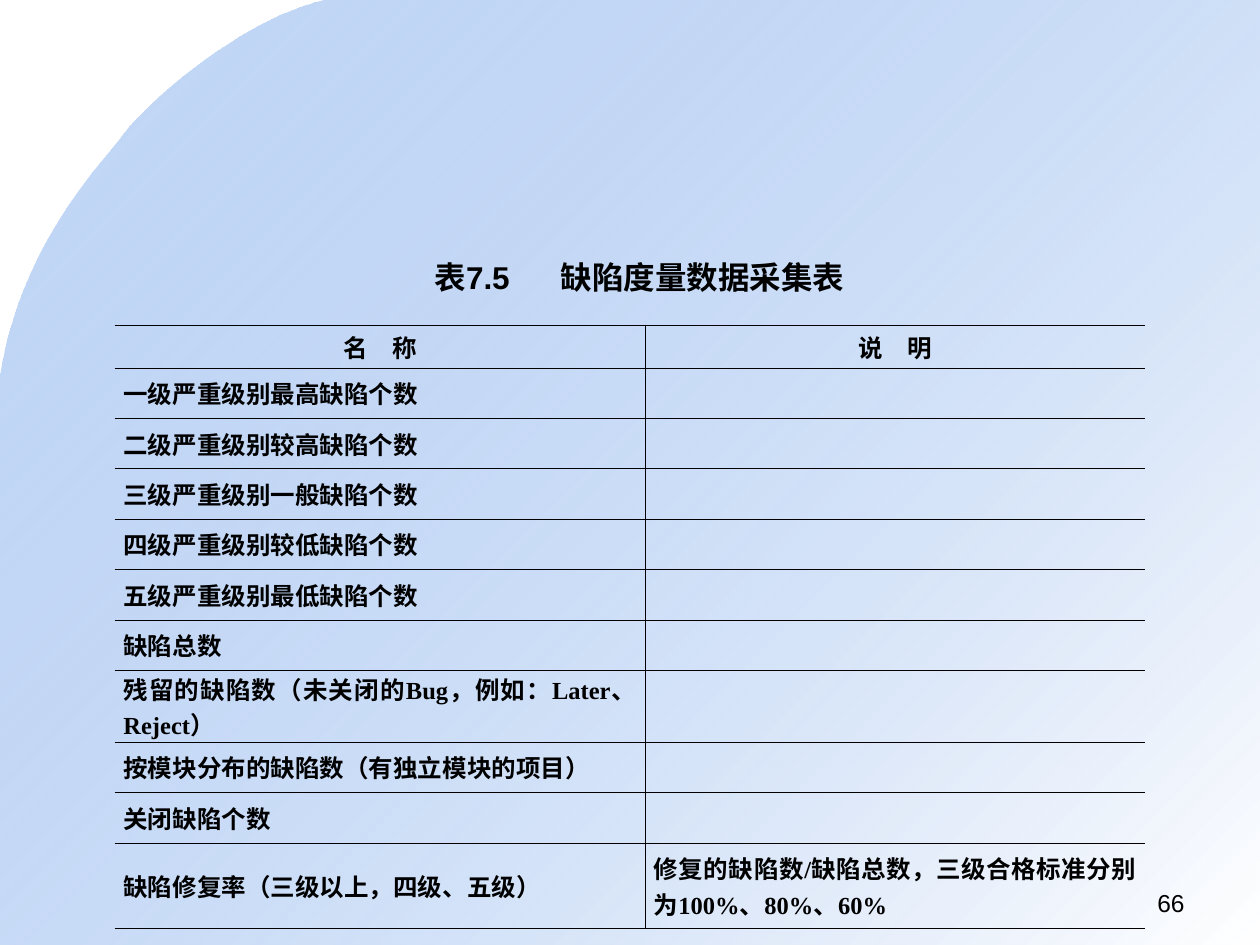
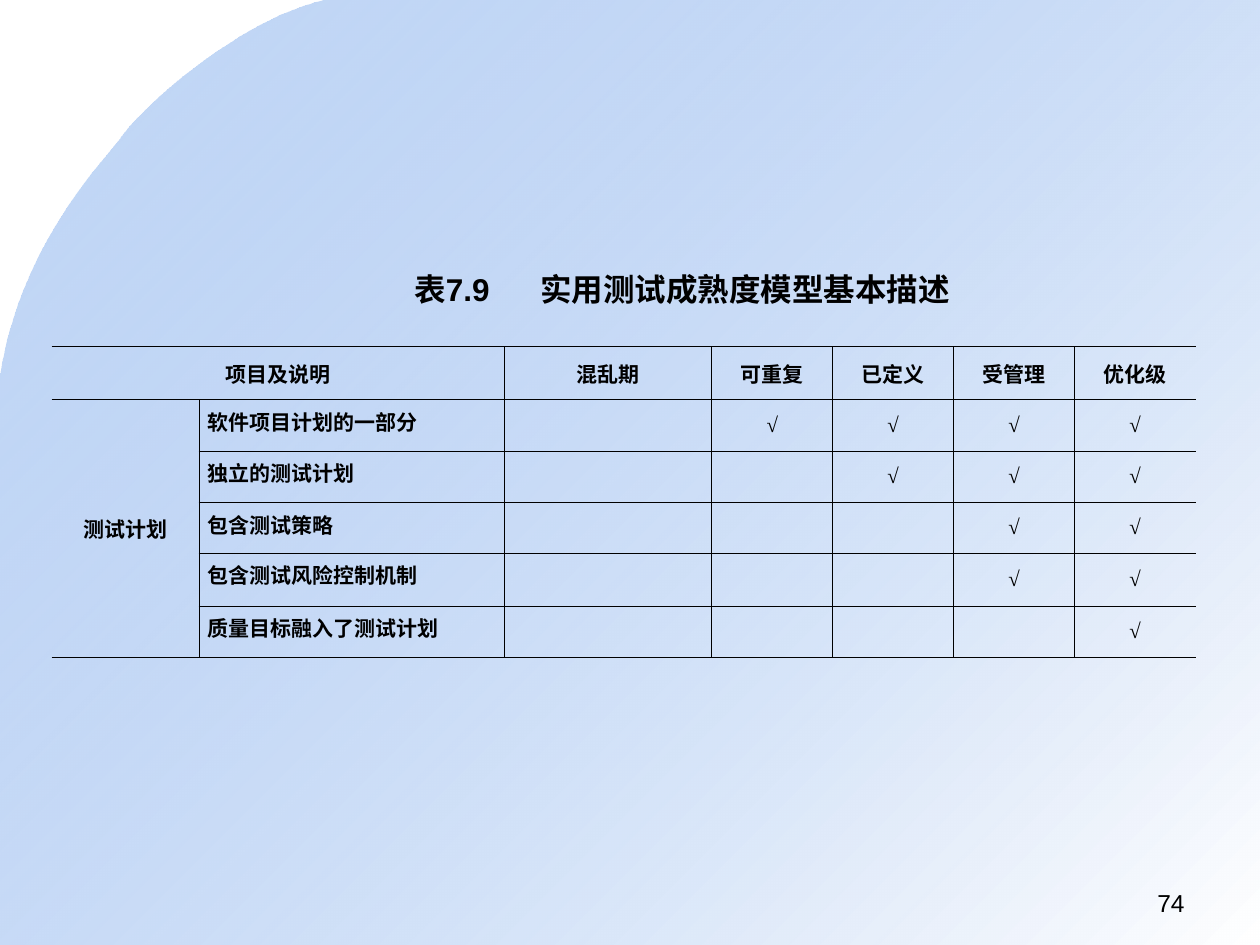
from dataclasses import dataclass

from lxml.etree import SubElement
from pptx import Presentation
from pptx.dml.color import RGBColor
from pptx.enum.text import MSO_ANCHOR, MSO_AUTO_SIZE, PP_ALIGN
from pptx.oxml import parse_xml
from pptx.oxml.ns import nsdecls, qn
from pptx.util import Inches, Pt


@dataclass(frozen=True)
class Theme:
    ink: str = "000000"
    blue: str = "699DE9"
    white: str = "FFFFFF"
    sans: str = "Arial"
    serif: str = "Times New Roman"
    title: float = 18
    body: float = 14
    small: float = 12
    rule: float = 0.45


@dataclass(frozen=True)
class Grid:
    """A ruled table: place, track sizes, cell texts and merged blocks."""
    left: float
    top: float
    cols: list[float]
    rows: list[float]
    cells: list[list[str]]
    size: float
    after: float
    pad: float                    # inset above and below the text
    mid: tuple[int, ...]          # centred columns
    high: tuple[int, ...] = ()    # top-anchored columns
    spans: tuple[tuple[int, int, int, int], ...] = ()


@dataclass(frozen=True)
class Page:
    title: str
    left: float
    top: float
    width: float
    number: str
    grid: Grid


THEME = Theme()
WIDE, TALL = 10, 7.5


def put(frame, text: str, *, size: float, font: str = THEME.sans,
        bold: bool = False, align=PP_ALIGN.LEFT, after: float = 0,
        tab: float = 0) -> None:
    """Write one formatted paragraph into a text frame."""
    para = frame.paragraphs[0]
    para.alignment = align
    para.space_after = Pt(after)
    if tab:
        tabs = SubElement(para._p.get_or_add_pPr(), qn("a:tabLst"))
        SubElement(tabs, qn("a:tab"), pos=str(Inches(tab)), algn="l")
    run = para.add_run()
    run.text = text
    run.font.name = font
    run.font.size = Pt(size)
    run.font.bold = bold
    run.font.color.rgb = RGBColor.from_string(THEME.ink)


def add_box(slide, left: float, top: float, width: float, height: float):
    box = slide.shapes.add_textbox(
        Inches(left), Inches(top), Inches(width), Inches(height))
    box.text_frame.word_wrap = True
    return box.text_frame


def curve(ends: list[tuple[float, float]], steps: int = 24):
    """Points along a cubic curve, after its start."""
    for step in range(1, steps + 1):
        t = step / steps
        parts = ((1 - t) ** 3, 3 * t * (1 - t) ** 2, 3 * t * t * (1 - t), t ** 3)
        yield tuple(sum(k * p[axis] for k, p in zip(parts, ends))
                    for axis in (0, 1))


def draw_sweep(slide) -> None:
    """The shaded page with its curved corner."""
    arc = [(2.58, 0), (1.9, 0.16), (1.16, 0.83), (0.98, 1.07),
           (0.8, 1.32), (0.16, 1.94), (0, 3.01)]
    points = [*curve(arc[:4]), *curve(arc[3:]), (0, TALL), (WIDE, TALL), (WIDE, 0)]
    pen = slide.shapes.build_freeform(Inches(arc[0][0]), Inches(arc[0][1]))
    pen.add_line_segments([(Inches(x), Inches(y)) for x, y in points], close=True)
    shape = pen.convert_to_shape()
    shape.shadow.inherit = False
    shape.line.fill.background()
    shape.fill.gradient()
    shape.fill.gradient_angle = 315
    for stop, tone, place in zip(shape.fill.gradient_stops,
                                 (THEME.blue, THEME.white), (0, 1)):
        stop.color.rgb = RGBColor.from_string(tone)
        stop.position = place
    first = next(shape._element.iter(qn("a:srgbClr")))
    SubElement(first, qn("a:alpha"), val="39000")


def rule_cell(cell, sides: dict[str, bool]) -> None:
    """Set the four borders, drawn or empty, ahead of the cell's fill."""
    props = cell._tc.get_or_add_tcPr()
    for spot, (side, shown) in enumerate(sides.items()):
        fill = (f'<a:solidFill><a:srgbClr val="{THEME.ink}"/></a:solidFill>'
                if shown else "<a:noFill/>")
        props.insert(spot, parse_xml(
            f'<a:ln{side} {nsdecls("a")} w="{Pt(THEME.rule)}">{fill}</a:ln{side}>'))


def draw_grid(slide, grid: Grid) -> None:
    down, over = len(grid.rows), len(grid.cols)
    frame = slide.shapes.add_table(
        down, over, Inches(grid.left), Inches(grid.top),
        Inches(sum(grid.cols)), Inches(sum(grid.rows)))
    table = frame.table
    table.first_row = table.horz_banding = False
    for track, size in zip(table.columns, grid.cols):
        track.width = Inches(size)
    for track, size in zip(table.rows, grid.rows):
        track.height = Inches(size)
    for r, c, r2, c2 in grid.spans:
        table.cell(r, c).merge(table.cell(r2, c2))

    for r, line in enumerate(grid.cells):
        for c, text in enumerate(line):
            cell = table.cell(r, c)
            cell.fill.background()
            cell.margin_left = cell.margin_right = Inches(0.07)
            cell.margin_top = cell.margin_bottom = Inches(grid.pad)
            own = not cell.is_spanned
            reach = cell.span_width if cell.is_merge_origin else 1
            rule_cell(cell, {"L": own and c > 0, "R": c + reach < over,
                             "T": own or r == 0,
                             "B": own or r in (0, down - 1)})
            if not text:
                continue
            head = r == 0
            cell.vertical_anchor = (MSO_ANCHOR.TOP if c in grid.high and not head
                                    else MSO_ANCHOR.MIDDLE)
            put(cell.text_frame, text, size=grid.size, font=THEME.serif, bold=True,
                align=(PP_ALIGN.CENTER if head or c in grid.mid
                       else PP_ALIGN.JUSTIFY),
                after=1.2 if head else grid.after)


def draw_page(deck, page: Page) -> None:
    slide = deck.slides.add_slide(deck.slide_layouts[6])
    draw_sweep(slide)
    draw_grid(slide, page.grid)
    # Table title
    title = add_box(slide, page.left, page.top, page.width, 0.4)
    title.word_wrap = False
    title.auto_size = MSO_AUTO_SIZE.SHAPE_TO_FIT_TEXT
    put(title, page.title, size=THEME.title, bold=True, tab=1)
    # Page number
    put(add_box(slide, 7.17, 7, 2.33, 0.35), page.number,
        size=THEME.body, align=PP_ALIGN.RIGHT)


# Defect measures: name and note
NAMES = [
    "一级严重级别最高缺陷个数",
    "二级严重级别较高缺陷个数",
    "三级严重级别一般缺陷个数",
    "四级严重级别较低缺陷个数",
    "五级严重级别最低缺陷个数",
    "缺陷总数",
    "残留的缺陷数（未关闭的Bug，例如：Later、Reject）",
    "按模块分布的缺陷数（有独立模块的项目）",
    "关闭缺陷个数",
]
DEFECTS = Grid(
    0.91, 2.58, [4.21, 3.97], [0.34] + [0.4] * 6 + [0.57, 0.4, 0.4, 0.68],
    [["名　称", "说　明"], *([name, ""] for name in NAMES),
     ["缺陷修复率（三级以上，四级、五级）",
      "修复的缺陷数/缺陷总数，三级合格标准分别为100%、80%、60%"]],
    THEME.body, 0.6, pad=0, mid=())

# Maturity levels: each plan item and how many top levels include it
LEVELS = ["混乱期", "可重复", "已定义", "受管理", "优化级"]
ITEMS = [("软件项目计划的一部分", 4), ("独立的测试计划", 3), ("包含测试策略", 2),
         ("包含测试风险控制机制", 2), ("质量目标融入了测试计划", 1)]
MATURITY = Grid(
    0.41, 2.75, [1.17, 2.42, 1.65] + [0.96] * 4,
    [0.42, 0.41, 0.41, 0.4, 0.42, 0.41],
    [["项目及说明", "", *LEVELS],
     *(["" if row else "测试计划", item,
        *[""] * (len(LEVELS) - count), *["√"] * count]
       for row, (item, count) in enumerate(ITEMS))],
    THEME.small, 1.2, pad=0.05, mid=(0, 2, 3, 4, 5, 6), high=(1,),
    spans=((0, 0, 0, 1), (1, 0, 5, 0)))

PAGES = [
    Page("表7.5\t缺陷度量数据采集表", 3.35, 2, 3.45, "66", DEFECTS),
    Page("表7.9\t实用测试成熟度模型基本描述", 3.19, 2.09, 4.45, "74", MATURITY),
]


def main() -> None:
    deck = Presentation()
    deck.slide_width, deck.slide_height = Inches(WIDE), Inches(TALL)
    for page in PAGES:
        draw_page(deck, page)
    deck.save("out.pptx")


if __name__ == "__main__":
    main()
